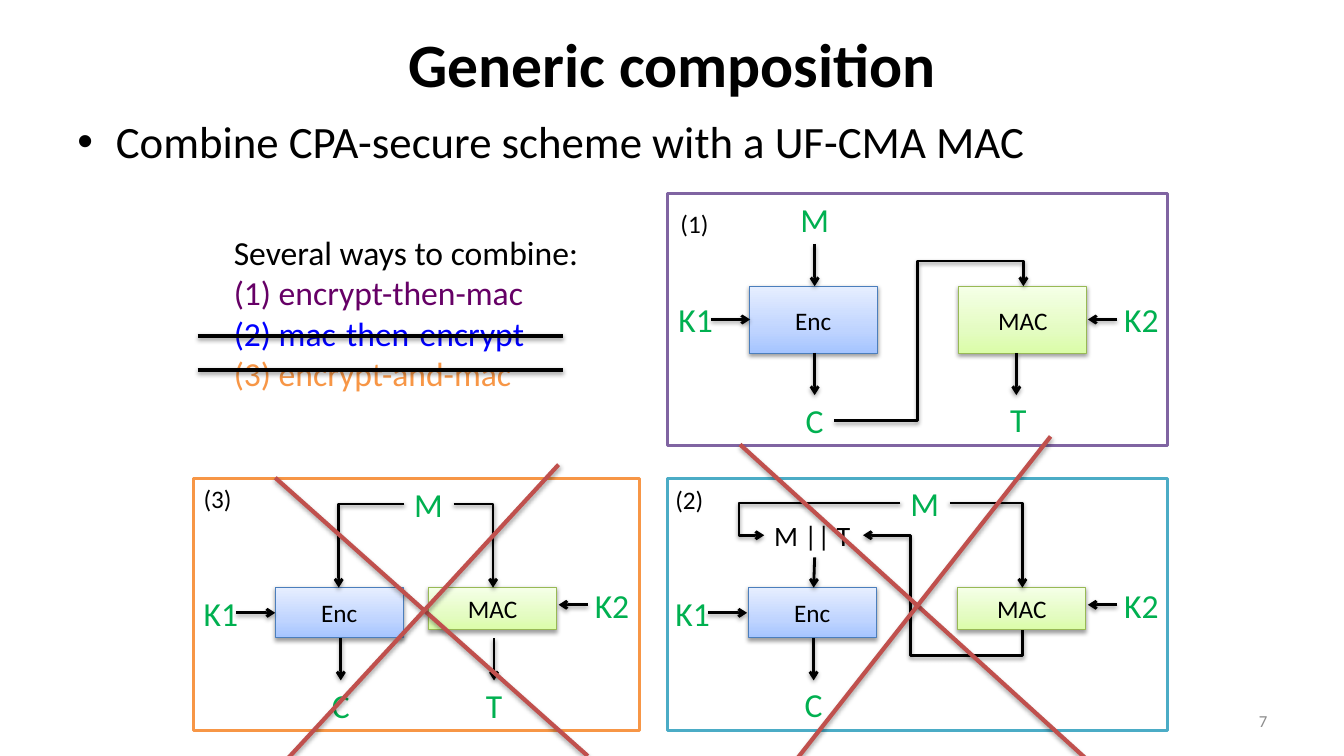
from pptx import Presentation
from pptx.dml.color import RGBColor
from pptx.enum.shapes import MSO_CONNECTOR, MSO_SHAPE
from pptx.enum.text import MSO_ANCHOR, MSO_AUTO_SIZE, PP_ALIGN
from pptx.oxml import parse_xml
from pptx.oxml.ns import nsdecls, qn
from pptx.util import Inches, Pt

LEFT, CENTER, RIGHT = PP_ALIGN.LEFT, PP_ALIGN.CENTER, PP_ALIGN.RIGHT
TOP, MIDDLE = MSO_ANCHOR.TOP, MSO_ANCHOR.MIDDLE
GROW, FIXED = MSO_AUTO_SIZE.SHAPE_TO_FIT_TEXT, MSO_AUTO_SIZE.NONE
RECT = MSO_SHAPE.RECTANGLE
STRAIGHT, ELBOW = MSO_CONNECTOR.STRAIGHT, MSO_CONNECTOR.ELBOW

COLORS = {
    "black": "000000", "white": "FFFFFF", "gray": "8C8C8C", "green": "00B050",
    "plum": "660066", "blue": "0000FF", "orange": "F79646", "red": "C0504D",
    "violet": "8064A2", "teal": "4BACC6",
}
# Edge colour, then gradient stops from bottom to top
BLOCKS = {
    "Enc": ("4B7EBC", ("A4C4FF", "BFD4FF", "E6EEFF")),
    "MAC": ("98B955", ("DAFDA7", "E4FCC2", "F5FFE7")),
}
STOPS = (0, 35, 100)
BLOCK_W = 1.27
WIDTHS = {"M": 0.49, "C": 0.38, "T": 0.37, "K1": 0.55, "K2": 0.55}


def apply(target, values):
    for name, value in values.items():
        setattr(target, name, value)


def shade(props, alpha=38, dist=1.57):
    """Give shape properties a soft shadow that falls straight down."""
    for old in props.findall(qn("a:effectLst")):
        props.remove(old)
    props.append(parse_xml(
        f'<a:effectLst {nsdecls("a")}><a:outerShdw blurRad="{Pt(3.15)}" '
        f'dist="{Pt(dist)}" dir="5400000" rotWithShape="0"><a:srgbClr val="000000">'
        f'<a:alpha val="{alpha * 1000}"/></a:srgbClr></a:outerShdw></a:effectLst>'))


class Sheet:
    def __init__(self, deck, face="Calibri"):
        self.shapes = deck.slides.add_slide(deck.slide_layouts[6]).shapes
        self.face = face

    def color(self, name):
        return RGBColor.from_string(COLORS.get(name, name))

    def letter(self, frame, lines, size, align=LEFT, bold=False):
        """Fill a frame with (text, colour) lines."""
        for i, (text, color) in enumerate(lines):
            para = frame.add_paragraph() if i else frame.paragraphs[0]
            para.alignment = align
            run = para.add_run()
            run.text = text
            apply(run.font, {"name": self.face, "size": Pt(size), "bold": bold})
            run.font.color.rgb = self.color(color)

    def text(self, area, lines, size, align=LEFT, anchor=TOP, wrap=False, bold=False):
        frame = self.shapes.add_textbox(*map(Inches, area)).text_frame
        apply(frame, {"word_wrap": wrap, "vertical_anchor": anchor,
                      "auto_size": FIXED if wrap else GROW})
        self.letter(frame, lines, size, align, bold)
        return frame

    def label(self, name, mid, top):
        """Set a green variable name centred on mid."""
        wide = WIDTHS[name]
        self.text((mid - wide / 2, top, wide, 0.5), [(name, "green")], 24, CENTER)

    def rect(self, area, edge, width):
        shape = self.shapes.add_shape(RECT, *map(Inches, area))
        shape.shadow.inherit = False
        shape.line.color.rgb = self.color(edge)
        shape.line.width = Pt(width)
        return shape

    def panel(self, area, edge, tag, spot):
        shape = self.rect(area, edge, 2)
        shape.fill.solid()
        shape.fill.fore_color.rgb = self.color("white")
        self.text((*spot, 0.48, 0.4), [(tag, "black")], 18)

    def block(self, name, left, top, height):
        edge, tints = BLOCKS[name]
        shape = self.rect((left, top, BLOCK_W, height), edge, 0.75)
        shape.fill.gradient()
        shape.fill.gradient_angle = 90
        props = shape._element.spPr
        stops = props.find(".//" + qn("a:gsLst"))
        for old in list(stops):
            stops.remove(old)
        for pos, tint in zip(STOPS, tints):
            stops.append(parse_xml(f'<a:gs {nsdecls("a")} pos="{pos * 1000}">'
                                   f'<a:srgbClr val="{tint}"/></a:gs>'))
        shade(props)
        shape.text_frame.vertical_anchor = MIDDLE
        self.letter(shape.text_frame, [(name, "black")], 18, CENTER)

    def line(self, start, end, color="black", width=3, kind=STRAIGHT, tip=None):
        link = self.shapes.add_connector(kind, *map(Inches, (*start, *end)))
        link.line.color.rgb = self.color(color)
        link.line.width = Pt(width)
        props = link._element.spPr
        if tip:
            props.find(qn("a:ln")).append(
                parse_xml(f'<a:{tip} {nsdecls("a")} type="arrow"/>'))
            shade(props)
        else:
            shade(props, 35, 1.81)
        return link

    def arrow(self, start, end):
        self.line(start, end, width=2, tip="tailEnd")

    def bend(self, start, end, *turns, tip="tailEnd"):
        """Draw an elbow arrow; turns are the x, then the y, of its inner legs."""
        link = self.line(start, end, width=2, kind=ELBOW, tip=tip)
        geom = link._element.spPr.find(qn("a:prstGeom"))
        geom.set("prst", f"bentConnector{len(turns) + 2}")
        guides = geom.find(qn("a:avLst"))
        for i, (turn, a, b) in enumerate(zip(turns, start, end), 1):
            ratio = round((turn - a) / (b - a) * 100000)
            guides.append(parse_xml(
                f'<a:gd {nsdecls("a")} name="adj{i}" fmla="val {ratio}"/>'))


def intro(sheet):
    sheet.text((0.67, 0, 12, 1.25), [("Generic composition", "black")], 44,
               CENTER, MIDDLE, True, True)
    sheet.text((9.56, 6.95, 3.11, 0.4), [("7", "gray")], 12, RIGHT, MIDDLE, True)
    frame = sheet.text((0.67, 1.08, 12, 0.7), [
        ("Combine CPA-secure scheme with a UF-CMA MAC", "black")], 32, wrap=True)
    props = frame.paragraphs[0]._p.get_or_add_pPr()
    props.set("marL", str(Inches(0.38)))
    props.set("indent", str(-Inches(0.38)))
    props.append(parse_xml(f'<a:buFont {nsdecls("a")} typeface="Arial"/>'))
    props.append(parse_xml(f'<a:buChar {nsdecls("a")} char="•"/>'))
    sheet.text((2.22, 2.25, 3.68, 1.72), [
        ("Several ways to combine:", "black"), ("(1) encrypt-then-mac", "plum"),
        ("(2) mac-then-encrypt", "blue"), ("(3) encrypt-and-mac", "orange")], 24)


def keys(sheet, left, right, enc, mac):
    """Add K1 and K2 with their arrows at the heights of the two blocks."""
    sheet.label("K1", left, enc - 0.25)
    sheet.arrow((left + 0.15, enc), (left + 0.54, enc))
    sheet.label("K2", right, mac - 0.25)
    sheet.arrow((right - 0.24, mac), (right - 0.53, mac))


def first(sheet):
    sheet.panel((6.62, 1.92, 4.96, 2.5), "violet", "(1)", (6.65, 2.02))
    sheet.block("Enc", 7.43, 2.84, 0.67)
    sheet.block("MAC", 9.51, 2.84, 0.67)
    keys(sheet, 6.9, 11.32, 3.17, 3.17)
    sheet.label("M", 8.08, 1.92)
    sheet.label("C", 8.08, 3.92)
    sheet.label("T", 10.1, 3.91)
    for x, y in ((8.08, 2.42), (8.08, 3.5), (10.08, 3.5)):
        sheet.arrow((x, y), (x, y + 0.42))
    sheet.bend((8.27, 4.17), (10.15, 2.84), 9.1, 2.59)


def second(sheet):
    sheet.panel((6.62, 4.75, 4.96, 2.5), "teal", "(2)", (6.6, 4.76))
    sheet.block("Enc", 7.42, 5.83, 0.5)
    sheet.block("MAC", 9.5, 5.83, 0.42)
    keys(sheet, 6.87, 11.32, 6.08, 6)
    sheet.label("M", 9.17, 4.74)
    sheet.label("C", 8.07, 6.74)
    sheet.text((7.58, 5.09, 0.97, 0.44), [("M || T", "black")], 20)
    sheet.arrow((8.08, 5.53), (8.07, 5.83))
    sheet.arrow((8.07, 6.33), (8.07, 6.75))
    sheet.bend((9.42, 4.99), (10.14, 5.83))
    sheet.bend((8.93, 4.99), (7.58, 5.31), 7.33)
    sheet.bend((8.56, 5.31), (10.14, 6.25), 9.03, 6.5, tip="headEnd")


def third(sheet):
    sheet.panel((1.92, 4.75, 4.42, 2.5), "orange", "(3)", (1.92, 4.75))
    sheet.block("Enc", 2.73, 5.83, 0.5)
    sheet.block("MAC", 4.25, 5.83, 0.42)
    keys(sheet, 2.19, 6.07, 6.08, 6)
    sheet.label("M", 4.25, 4.75)
    for name, x in (("C", 3.38), ("T", 4.9)):
        sheet.label(name, x, 6.75)
        sheet.arrow((x, 6.33), (x, 6.75))
    sheet.bend((4.5, 5), (4.89, 5.83))
    sheet.bend((4.01, 5), (3.36, 5.83))


def strike(sheet):
    """Cross out the two weaker schemes, in the panels and in the list."""
    for start, end in (((2.73, 4.74), (5.83, 7.5)), ((5.54, 4.61), (2.73, 7.66)),
                       ((7.34, 4.41), (10.83, 7.58)), ((10.42, 4.33), (7.73, 7.75))):
        sheet.line(start, end, "red")
    for y in (3.33, 3.67):
        sheet.line((1.96, y), (5.58, y))


def main():
    deck = Presentation()
    deck.slide_width, deck.slide_height = Inches(13.33), Inches(7.5)
    sheet = Sheet(deck)
    for part in (intro, first, second, third, strike):
        part(sheet)
    deck.save("out.pptx")


if __name__ == "__main__":
    main()
